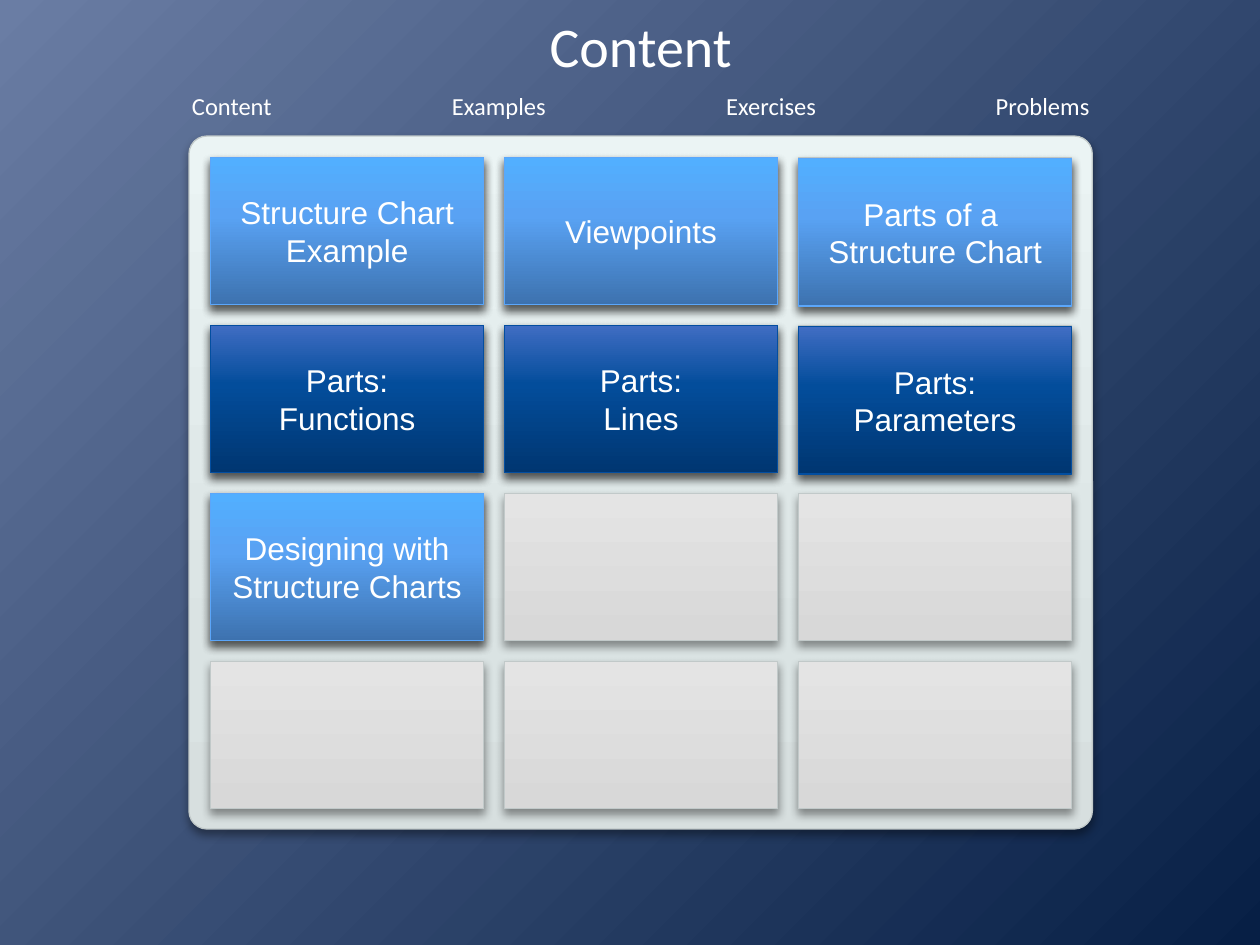
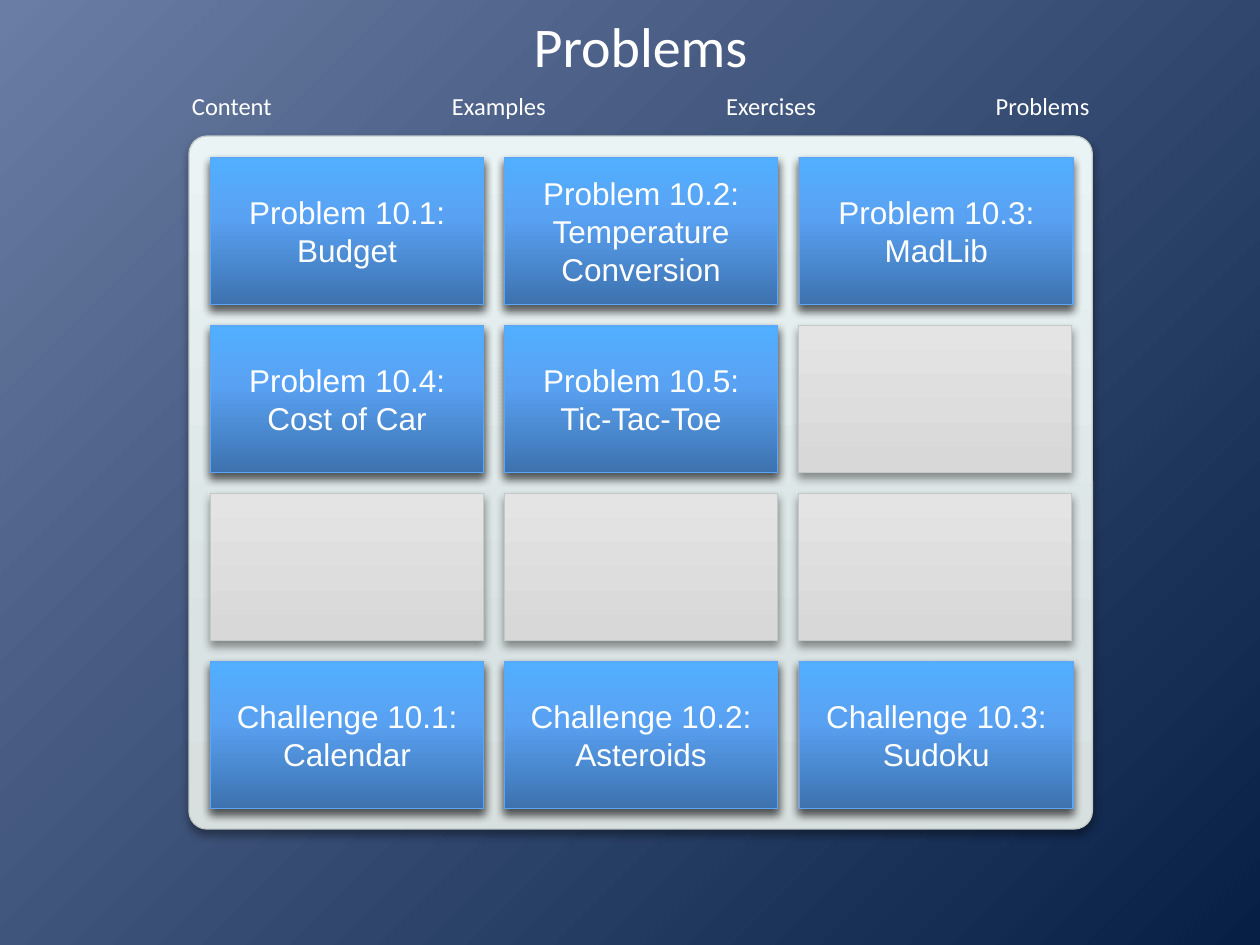
from dataclasses import dataclass

from lxml import etree
from pptx import Presentation
from pptx.dml.color import RGBColor
from pptx.enum.shapes import MSO_SHAPE
from pptx.enum.text import MSO_ANCHOR, MSO_AUTO_SIZE, PP_ALIGN
from pptx.oxml.ns import qn
from pptx.util import Inches, Pt

RECTANGLE = MSO_SHAPE.RECTANGLE
ROUNDED = MSO_SHAPE.ROUNDED_RECTANGLE
MIDDLE = MSO_ANCHOR.MIDDLE
CENTER = PP_ALIGN.CENTER
GROW = MSO_AUTO_SIZE.SHAPE_TO_FIT_TEXT


@dataclass(frozen=True)
class Finish:
    stops: tuple
    line: str


@dataclass(frozen=True)
class Theme:
    background = ((0, "6A7DA4"), (100, "071F45"))
    panel = Finish(((0, "D7DFDF"), (25, "DAE3E3"), (100, "EBF4F4")), "C1C9C9")
    empty = Finish(((0, "D8D8D8"), (1, "D8D8D8"), (100, "E4E4E4")), "C1C9C9")
    light = Finish(((0, "3D72AF"), (60, "59A2F3"), (100, "52AFFF")), "5BA6FA")
    dark = Finish(((0, "003671"), (60, "034D9B"), (100, "406DC3")), "034EA0")
    text = "FFFFFF"
    shadow = "000000"
    heading_font = "Calibri"
    tile_font = "Arial"
    title_size = 32
    menu_size = 14
    tile_size = 18
    line_width = 0.75


COLUMNS, ROWS = 3, 4
GRID_LEFT, GRID_TOP = 1.67, 1.25
COLUMN_PITCH, ROW_PITCH = 7 / 3, 4 / 3
TILE_WIDTH, TILE_HEIGHT = 2.17, 1.17

MENU_LEFT, MENU_GAP = 1.42, 1.22
MENU = (("Content", 0.84), ("Examples", 0.96), ("Exercises", 0.92), ("Problems", 0.95))


class Board:
    def __init__(self, deck, theme):
        self.deck = deck
        self.theme = theme
        self.page = None

    def start_page(self, title):
        self.page = self.deck.slides.add_slide(self.deck.slide_layouts[6])
        self.paint_background()
        panel = self.shape(ROUNDED, 1.5, 1.08, 7.17, 5.5, self.theme.panel)
        panel.adjustments[0] = 0.026
        for row in range(ROWS):
            for column in range(COLUMNS):
                self.tile(row, column, self.theme.empty)
        self.menu()
        self.title(title)

    def gradient(self, parent, stops, direction):
        solid = parent.find(qn("a:solidFill"))
        gradient = etree.Element(qn("a:gradFill"), rotWithShape="1")
        stop_list = etree.SubElement(gradient, qn("a:gsLst"))
        for position, colour in stops:
            stop = etree.SubElement(stop_list, qn("a:gs"), pos=str(position * 1000))
            etree.SubElement(stop, qn("a:srgbClr"), val=colour)
        gradient.append(direction)
        parent.replace(solid, gradient)

    def paint_background(self):
        self.page.background.fill.solid()
        circle = etree.Element(qn("a:path"), path="circle")
        etree.SubElement(circle, qn("a:fillToRect"), r="100000", b="100000")
        properties = self.page.element.find(".//" + qn("p:bgPr"))
        self.gradient(properties, self.theme.background, circle)

    def shadow(self, shape):
        shape.shadow.inherit = False
        effects = shape.element.spPr.find(qn("a:effectLst"))
        outer = etree.SubElement(
            effects, qn("a:outerShdw"), blurRad=str(Pt(5.2)), dist=str(Pt(3)),
            dir="5400000", rotWithShape="0")
        colour = etree.SubElement(outer, qn("a:srgbClr"), val=self.theme.shadow)
        etree.SubElement(colour, qn("a:alpha"), val="40000")

    def shape(self, kind, left, top, width, height, finish):
        shape = self.page.shapes.add_shape(
            kind, Inches(left), Inches(top), Inches(width), Inches(height))
        shape.fill.solid()
        upward = etree.Element(qn("a:lin"), ang="16200000", scaled="0")
        self.gradient(shape.element.spPr, finish.stops, upward)
        shape.line.color.rgb = RGBColor.from_string(finish.line)
        shape.line.width = Pt(self.theme.line_width)
        self.shadow(shape)
        return shape

    def add_text(self, frame, paragraphs, font, size):
        for index, text in enumerate(paragraphs):
            para = frame.add_paragraph() if index else frame.paragraphs[0]
            para.alignment = CENTER
            for line_number, line in enumerate(text.split("\n")):
                if line_number:
                    para.add_line_break()
                span = para.add_run()
                span.text = line
                span.font.name = font
                span.font.size = Pt(size)
                span.font.color.rgb = RGBColor.from_string(self.theme.text)

    def tile(self, row, column, finish, paragraphs=(), nudge=(0, 0)):
        left = GRID_LEFT + column * COLUMN_PITCH + nudge[0]
        top = GRID_TOP + row * ROW_PITCH + nudge[1]
        tile = self.shape(RECTANGLE, left, top, TILE_WIDTH, TILE_HEIGHT, finish)
        tile.text_frame.word_wrap = True
        tile.text_frame.vertical_anchor = MIDDLE
        self.add_text(tile.text_frame, paragraphs, self.theme.tile_font, self.theme.tile_size)

    def text_box(self, left, top, width, height, text, size):
        box = self.page.shapes.add_textbox(
            Inches(left), Inches(top), Inches(width), Inches(height))
        self.add_text(box.text_frame, [text], self.theme.heading_font, size)
        return box.text_frame

    def menu(self):
        left = MENU_LEFT
        for label, width in MENU:
            frame = self.text_box(left, 0.67, width, 0.34, label, self.theme.menu_size)
            frame.word_wrap = False
            frame.auto_size = GROW
            left += width + MENU_GAP

    def title(self, text):
        frame = self.text_box(1.5, 0.11, 7.17, 0.5, text, self.theme.title_size)
        frame.word_wrap = True
        frame.vertical_anchor = MIDDLE
        frame.margin_left = frame.margin_right = 0
        frame.margin_top = frame.margin_bottom = 0

    def topics(self, rows, last_column_nudge):
        for row, (finish, labels) in rows.items():
            for column, paragraphs in enumerate(labels):
                nudge = last_column_nudge if column == COLUMNS - 1 else (0, 0)
                self.tile(row, column, finish, paragraphs, nudge)


def main():
    deck = Presentation()
    deck.slide_width = Inches(10)
    deck.slide_height = Inches(7.5)
    theme = Theme()
    board = Board(deck, theme)

    board.start_page("Content")
    board.topics({
        0: (theme.light, [["Structure Chart Example"], ["Viewpoints"],
                          ["Parts of a \nStructure Chart"]]),
        1: (theme.dark, [["Parts:", "Functions"], ["Parts:", "Lines"],
                         ["Parts:", "Parameters"]]),
        2: (theme.light, [["Designing with Structure Charts"]]),
    }, last_column_nudge=(0, 0.01))

    board.start_page("Problems")
    board.topics({
        0: (theme.light, [["Problem 10.1:\nBudget"],
                          ["Problem 10.2:\nTemperature Conversion"],
                          ["Problem 10.3:\nMadLib"]]),
        1: (theme.light, [["Problem 10.4:\nCost of Car"],
                          ["Problem 10.5:\nTic-Tac-Toe"]]),
        3: (theme.light, [["Challenge 10.1:\nCalendar"],
                          ["Challenge 10.2:\nAsteroids"],
                          ["Challenge 10.3:\nSudoku"]]),
    }, last_column_nudge=(0.01, 0))

    deck.save("out.pptx")


if __name__ == "__main__":
    main()
